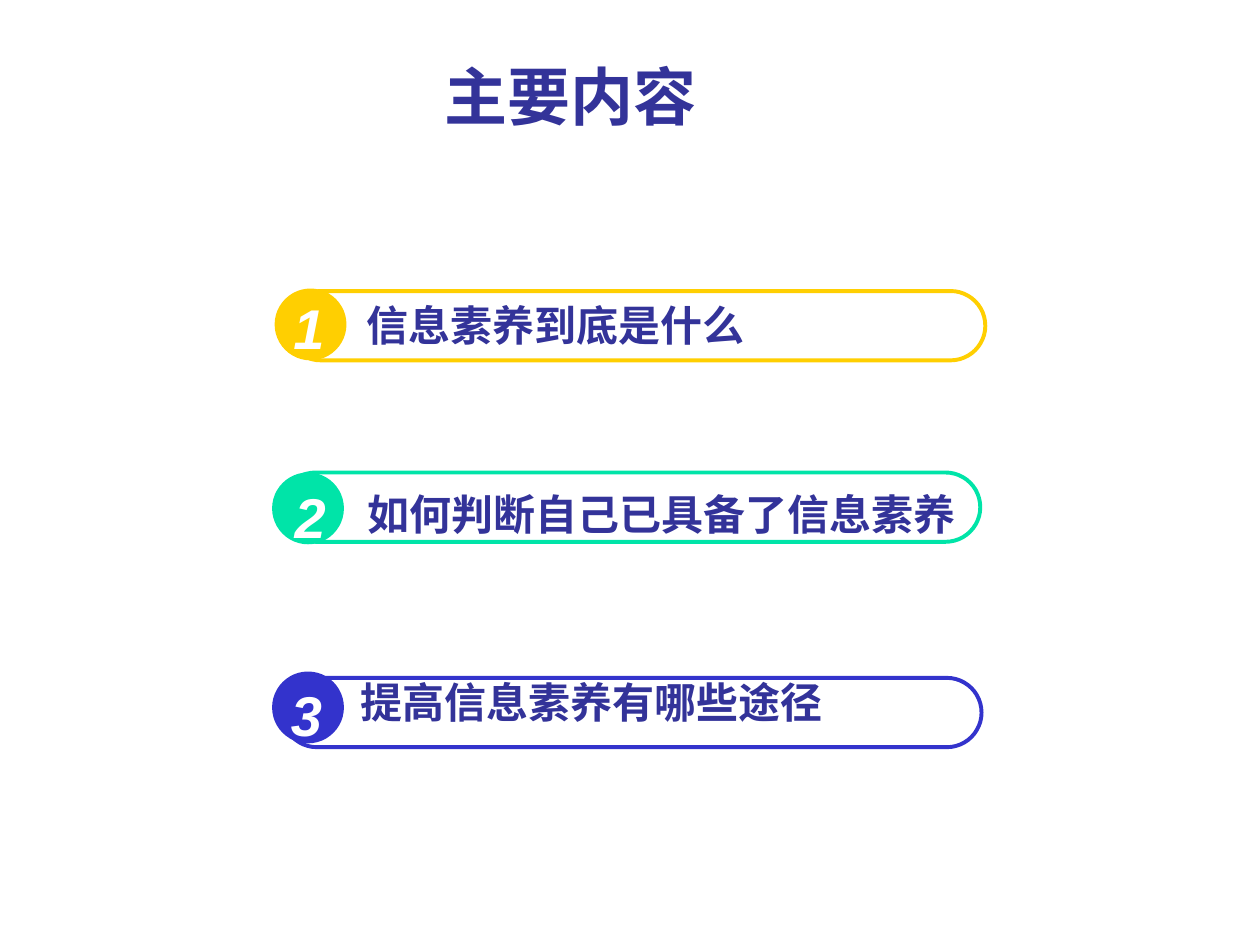
from pptx import Presentation
from pptx.dml.color import RGBColor
from pptx.enum.shapes import MSO_SHAPE
from pptx.enum.text import MSO_ANCHOR, PP_ALIGN
from pptx.util import Inches, Pt

PILL, CIRCLE = MSO_SHAPE.ROUNDED_RECTANGLE, MSO_SHAPE.OVAL
MIDDLE = MSO_ANCHOR.MIDDLE
LEFT, CENTER = PP_ALIGN.LEFT, PP_ALIGN.CENTER

# Content: each entry has its colour and the left, top of its four parts
TITLE = "主要内容"
ITEMS = [
    dict(text="信息素养到底是什么", color="FFCF01", pill=(2.27, 2.31),
         circle=(2.18, 2.29), number=(2.23, 2.28), label=(2.81, 2.33)),
    dict(text="如何判断自己已具备了信息素养", color="00E4A8", pill=(2.23, 3.75),
         circle=(2.16, 3.75), number=(2.24, 3.78), label=(2.82, 3.83)),
    dict(text="提高信息素养有哪些途径", color="3333CC", pill=(2.24, 5.38),
         circle=(2.16, 5.33), number=(2.21, 5.35), label=(2.76, 5.32)),
]
SIZES = dict(pill=(5.55, 0.55), circle=(0.57, 0.57),
             number=(0.37, 0.63), label=(5.32, 0.5))
THEME = dict(
    line=2.25,
    title=dict(name="Roboto", size=Pt(36), bold=True, color="333399"),
    number=dict(name="Arial", size=Pt(32), bold=True, italic=True, color="FFFFFF"),
    label=dict(name="Arial", size=Pt(24), bold=True, color="333399"),
)


def box(pos, size):
    return [Inches(v) for v in (*pos, *size)]


def add_text(s, text, pos, size, style, align=LEFT, wrap=True):
    tf = s.shapes.add_textbox(*box(pos, size)).text_frame
    tf.word_wrap = wrap
    tf.vertical_anchor = MIDDLE
    p = tf.paragraphs[0]
    p.alignment = align
    r = p.add_run()
    r.text = text
    for key, value in THEME[style].items():
        if key == "color":
            r.font.color.rgb = RGBColor.from_string(value)
        else:
            setattr(r.font, key, value)


def add_item(s, number, item):
    color = RGBColor.from_string(item["color"])

    # Outlined pill
    sp = s.shapes.add_shape(PILL, *box(item["pill"], SIZES["pill"]))
    sp.adjustments[0] = 0.5
    sp.shadow.inherit = False
    sp.fill.background()
    sp.line.color.rgb = color
    sp.line.width = Pt(THEME["line"])

    # Filled circle
    sp = s.shapes.add_shape(CIRCLE, *box(item["circle"], SIZES["circle"]))
    sp.shadow.inherit = False
    sp.fill.solid()
    sp.fill.fore_color.rgb = color
    sp.line.fill.background()

    # Number and label
    add_text(s, str(number), item["number"], SIZES["number"], "number", CENTER, False)
    add_text(s, item["text"], item["label"], SIZES["label"], "label")


def main():
    prs = Presentation()
    prs.slide_width, prs.slide_height = Inches(10), Inches(7.5)
    s = prs.slides.add_slide(prs.slide_layouts[6])
    add_text(s, TITLE, (3.43, 0.13), (3.76, 1.25), "title")
    for number, item in enumerate(ITEMS, 1):
        add_item(s, number, item)
    prs.save("out.pptx")


if __name__ == "__main__":
    main()
